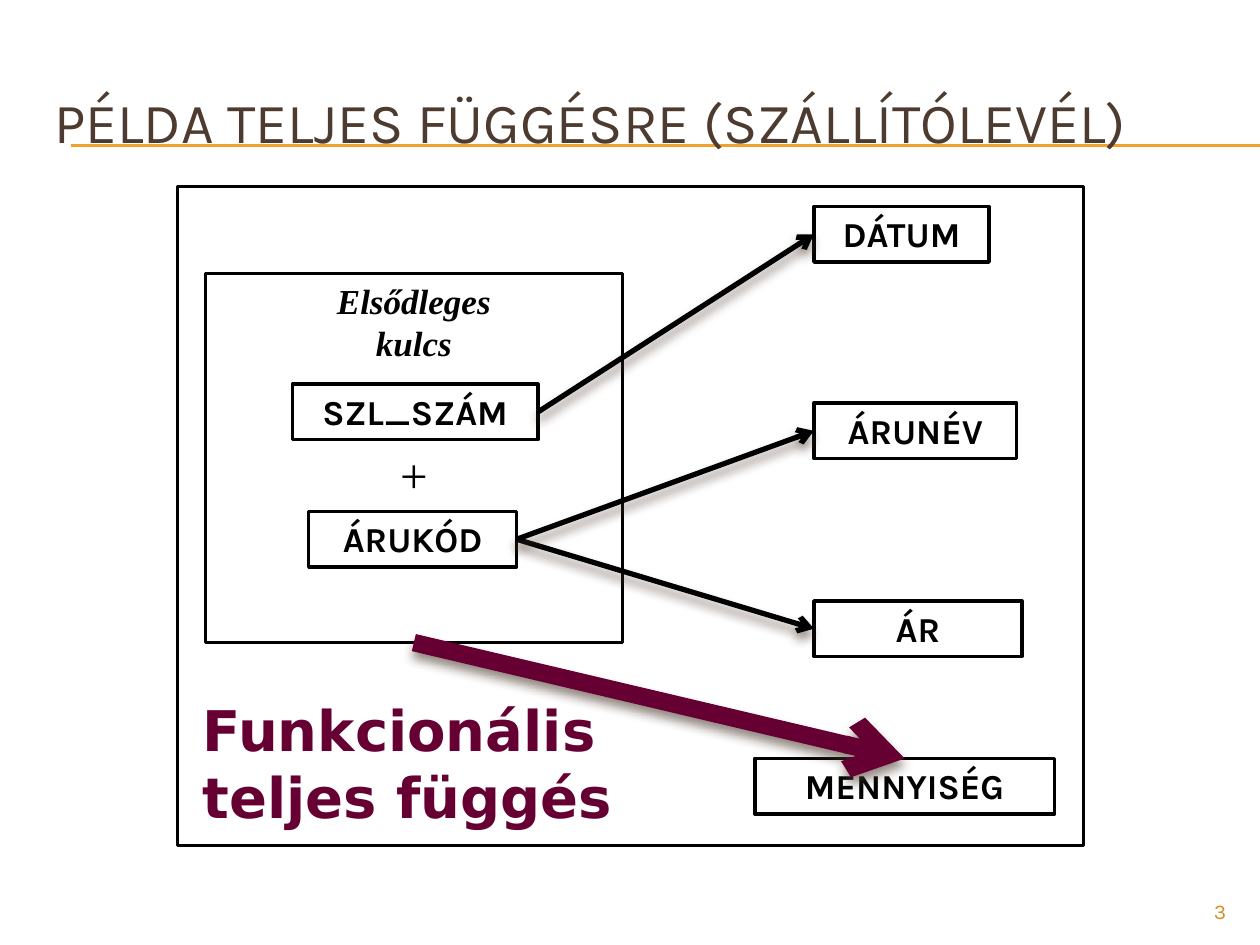
from dataclasses import dataclass

from lxml import etree
from pptx import Presentation
from pptx.dml.color import RGBColor
from pptx.enum.shapes import MSO_CONNECTOR, MSO_SHAPE
from pptx.enum.text import MSO_ANCHOR, PP_ALIGN
from pptx.oxml.ns import qn
from pptx.util import Inches, Pt

RECT, STRAIGHT = MSO_SHAPE.RECTANGLE, MSO_CONNECTOR.STRAIGHT
LEFT, CENTER, RIGHT = PP_ALIGN.LEFT, PP_ALIGN.CENTER, PP_ALIGN.RIGHT
TOP, MIDDLE = MSO_ANCHOR.TOP, MSO_ANCHOR.MIDDLE
SIDE_LEFT, SIDE_BOTTOM, SIDE_RIGHT, SIDE_TOP = 1, 2, 3, 0


@dataclass(frozen=True)
class Theme:
    ink: str = "000000"
    brown: str = "4E3B30"
    gold: str = "F0A22E"
    ochre: str = "D48F29"
    plum: str = "660033"
    sans: str = "Karla"
    serif: str = "Times New Roman"
    heavy: str = "DejaVu Sans"
    title: float = 32.4
    callout: float = 32
    plus: float = 28
    body: float = 20
    small: float = 12


T = Theme()
TITLE = "PÉLDA TELJES FÜGGÉSRE (SZÁLLÍTÓLEVÉL)"
KEY_TITLE = "Elsődleges\vkulcs"
CALLOUT = "Funkcionális\vteljes függés"
PAGE = "3"
FRAME = (1.41, 1.48, 7.19, 5.23)
KEY = (1.63, 2.17, 3.31, 2.93)
BOX_H = 0.44
COL = 6.46
FIELDS = {
    "ÁRUNÉV": (COL, 3.2, 1.61),
    "DÁTUM": (COL, 1.64, 1.39),
    "ÁR": (COL, 4.77, 1.65),
    "SZL_SZÁM": (2.32, 3.05, 1.95),
    "ÁRUKÓD": (2.45, 4.06, 1.65),
    "MENNYISÉG": (5.99, 6.02, 2.38),
}
DEPENDENCIES = [("ÁRUKÓD", "ÁR"), ("ÁRUKÓD", "ÁRUNÉV"), ("SZL_SZÁM", "DÁTUM")]


def rgb(color):
    return RGBColor.from_string(color)


def write(p, text, size, color, font=T.sans, align=CENTER, bold=False, italic=False):
    p.text, p.alignment = text, align
    f = p.font
    f.name, f.size, f.bold, f.italic = font, Pt(size), bold, italic
    f.color.rgb = rgb(color)


def add_box(s, at):
    sp = s.shapes.add_shape(RECT, *map(Inches, at))
    sp.shadow.inherit = False
    sp.fill.background()
    sp.line.color.rgb, sp.line.width = rgb(T.ink), Pt(2)
    sp.text_frame.word_wrap, sp.text_frame.vertical_anchor = True, TOP
    return sp


def add_text(s, at, *args, **style):
    tf = s.shapes.add_textbox(*map(Inches, at)).text_frame
    tf.word_wrap = True
    write(tf.paragraphs[0], *args, **style)


def add_line(s, start, end, color, width):
    c = s.shapes.add_connector(STRAIGHT, *map(Inches, start + end))
    c.line.color.rgb, c.line.width = rgb(color), Pt(width)
    effects = etree.SubElement(c._element.spPr, qn("a:effectLst"))
    return c, effects


def add_arrow(s, a, a_side, b, b_side, color, width):
    c, effects = add_line(s, (0, 0), (0, 0), color, width)
    c.begin_connect(a, a_side)
    c.end_connect(b, b_side)
    etree.SubElement(c.line._get_or_add_ln(), qn("a:tailEnd"), type="arrow")
    shadow = etree.SubElement(effects, qn("a:outerShdw"), blurRad=str(Pt(6)),
                              dist=str(Pt(4)), dir=str(90 * 60000), rotWithShape="0")
    tint = etree.SubElement(shadow, qn("a:srgbClr"), val=T.brown)
    etree.SubElement(tint, qn("a:alpha"), val="60000")


def main():
    prs = Presentation()
    prs.slide_width, prs.slide_height = Inches(10), Inches(7.5)
    s = prs.slides.add_slide(prs.slide_layouts[5])

    for y in (1.15, 1.16):
        add_line(s, (0.56, y), (10, y), T.gold, 0.75)
    title = s.shapes.title
    title.left, title.top, title.width, title.height = map(Inches, (0.33, 0.5, 9.5, 0.92))
    title.text_frame.vertical_anchor = MIDDLE
    write(title.text_frame.paragraphs[0], TITLE, T.title, T.brown, align=LEFT)
    title._element.getparent().append(title._element)

    key = add_box(s, KEY)
    tf = key.text_frame
    write(tf.paragraphs[0], KEY_TITLE, T.body, T.ink, T.serif, bold=True, italic=True)
    p = tf.add_paragraph()
    write(p, "+", T.plus, T.ink, T.serif)
    p.space_before = Pt(46)

    boxes = {}
    for name, (x, y, w) in FIELDS.items():
        boxes[name] = add_box(s, (x, y, w, BOX_H))
        write(boxes[name].text_frame.paragraphs[0], name, T.body, T.ink, bold=True)

    for a, b in DEPENDENCIES:
        add_arrow(s, boxes[a], SIDE_RIGHT, boxes[b], SIDE_LEFT, T.ink, 3)
    add_box(s, FRAME)
    add_arrow(s, key, SIDE_BOTTOM, boxes["MENNYISÉG"], SIDE_TOP, T.plum, 10)

    add_text(s, (1.51, 5.47, 3.51, 1.18), CALLOUT, T.callout, T.plum, T.heavy, LEFT, bold=True)
    add_text(s, (9, 7.08, 0.83, 0.27), PAGE, T.small, T.ochre, align=RIGHT)
    prs.save("out.pptx")


if __name__ == "__main__":
    main()
